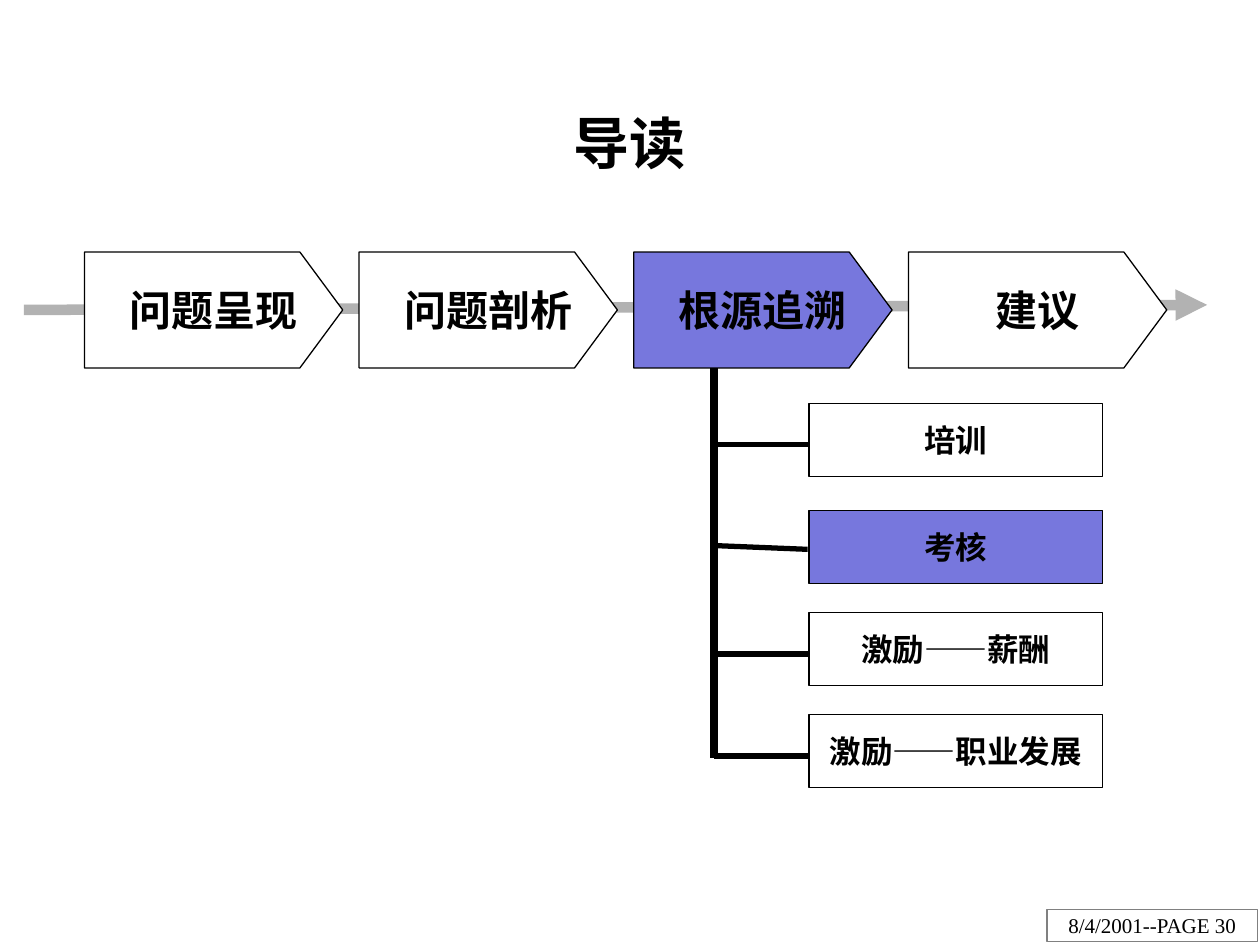
import pptx
import pptx.util
import pptx.dml.color
import pptx.enum.shapes
import pptx.enum.text
from lxml import etree
from pptx.oxml.ns import qn

Inches = pptx.util.Inches
Pt = pptx.util.Pt
RGBColor = pptx.dml.color.RGBColor

BLACK = RGBColor(0x00, 0x00, 0x00)
WHITE = RGBColor(0xFF, 0xFF, 0xFF)
GREY = RGBColor(0x80, 0x80, 0x80)
SILVER = RGBColor(0xB2, 0xB2, 0xB2)
VIOLET = RGBColor(0x77, 0x77, 0xDD)


class Deck:
    font = "Times New Roman"

    def __init__(self, prs):
        self.s = prs.slides.add_slide(prs.slide_layouts[5])

    def text(self, sp, text, size, bold=True, wrap=True):
        tf = sp.text_frame
        tf.text = text
        tf.word_wrap = wrap
        tf.vertical_anchor = pptx.enum.text.MSO_ANCHOR.MIDDLE
        p = tf.paragraphs[0]
        p.alignment = pptx.enum.text.PP_ALIGN.CENTER
        font = p.runs[0].font
        font.name = self.font
        font.size = Pt(size)
        font.bold = bold
        font.color.rgb = BLACK

    def paint(self, sp, fill, line):
        sp.shadow.inherit = False
        if fill is None:
            sp.fill.background()
        else:
            sp.fill.solid()
            sp.fill.fore_color.rgb = fill
        sp.line.color.rgb = line
        sp.line.width = Pt(0.75)

    def title(self, text, x, y, w, h):
        sp = self.s.shapes.title
        sp.left, sp.top, sp.width, sp.height = map(Inches, (x, y, w, h))
        self.text(sp, text, 32)

    def box(self, text, x, y, w, h, fill=None, line=BLACK, size=18, bold=True, wrap=True):
        sp = self.s.shapes.add_shape(
            pptx.enum.shapes.MSO_SHAPE.RECTANGLE, *map(Inches, (x, y, w, h)))
        self.paint(sp, fill, line)
        self.text(sp, text, size, bold, wrap)

    def stage(self, text, x, y, w, h, fill):
        shoulder = x + w - 0.34
        outline = [(shoulder, y), (x + w, y + h / 2), (shoulder, y + h), (x, y + h)]
        fb = self.s.shapes.build_freeform(Inches(x), Inches(y))
        fb.add_line_segments([(Inches(px), Inches(py)) for px, py in outline])
        sp = fb.convert_to_shape()
        self.paint(sp, fill, BLACK)
        self.text(sp, text, 24)

    def line(self, x1, y1, x2, y2, width, color=BLACK, arrow=False):
        c = self.s.shapes.add_connector(
            pptx.enum.shapes.MSO_CONNECTOR.STRAIGHT, *map(Inches, (x1, y1, x2, y2)))
        c.line.color.rgb = color
        c.line.width = Pt(width)
        if arrow:
            ln = c.line._get_or_add_ln()
            etree.SubElement(ln, qn("a:tailEnd"), type="triangle")
        etree.SubElement(c._element.spPr, qn("a:effectLst"))


def main():
    prs = pptx.Presentation()
    prs.slide_width, prs.slide_height = Inches(10), Inches(7.5)
    deck = Deck(prs)

    deck.box("8/4/2001--PAGE 30", 8.31, 7.22, 1.67, 0.25, WHITE, GREY, 12, False, False)
    deck.title("导读", 0.75, 0.5, 8.5, 1.25)
    deck.line(0.19, 2.46, 9.58, 2.42, 6, SILVER, arrow=True)
    deck.line(5.67, 2.85, 5.67, 6.02, 4.5)

    stages = ["问题呈现", "问题剖析", "根源追溯", "建议"]
    for i, name in enumerate(stages):
        fill = VIOLET if name == "根源追溯" else WHITE
        deck.stage(name, 0.67 + 2.18 * i, 2, 2.05, 0.92, fill)

    causes = [
        ("培训", 3.2, 5.7, 3.53, 3.53, None),
        ("考核", 4.05, 5.67, 4.33, 4.36, VIOLET),
        ("激励——薪酬", 4.86, 5.7, 5.19, 5.19, None),
        ("激励——职业发展", 5.67, 5.67, 6, 6, None),
    ]
    for name, top, start, y1, y2, fill in causes:
        deck.line(start, y1, 6.41, y2, 3)
        deck.box(name, 6.42, top, 2.33, 0.58, fill)

    prs.save("out.pptx")


if __name__ == "__main__":
    main()
